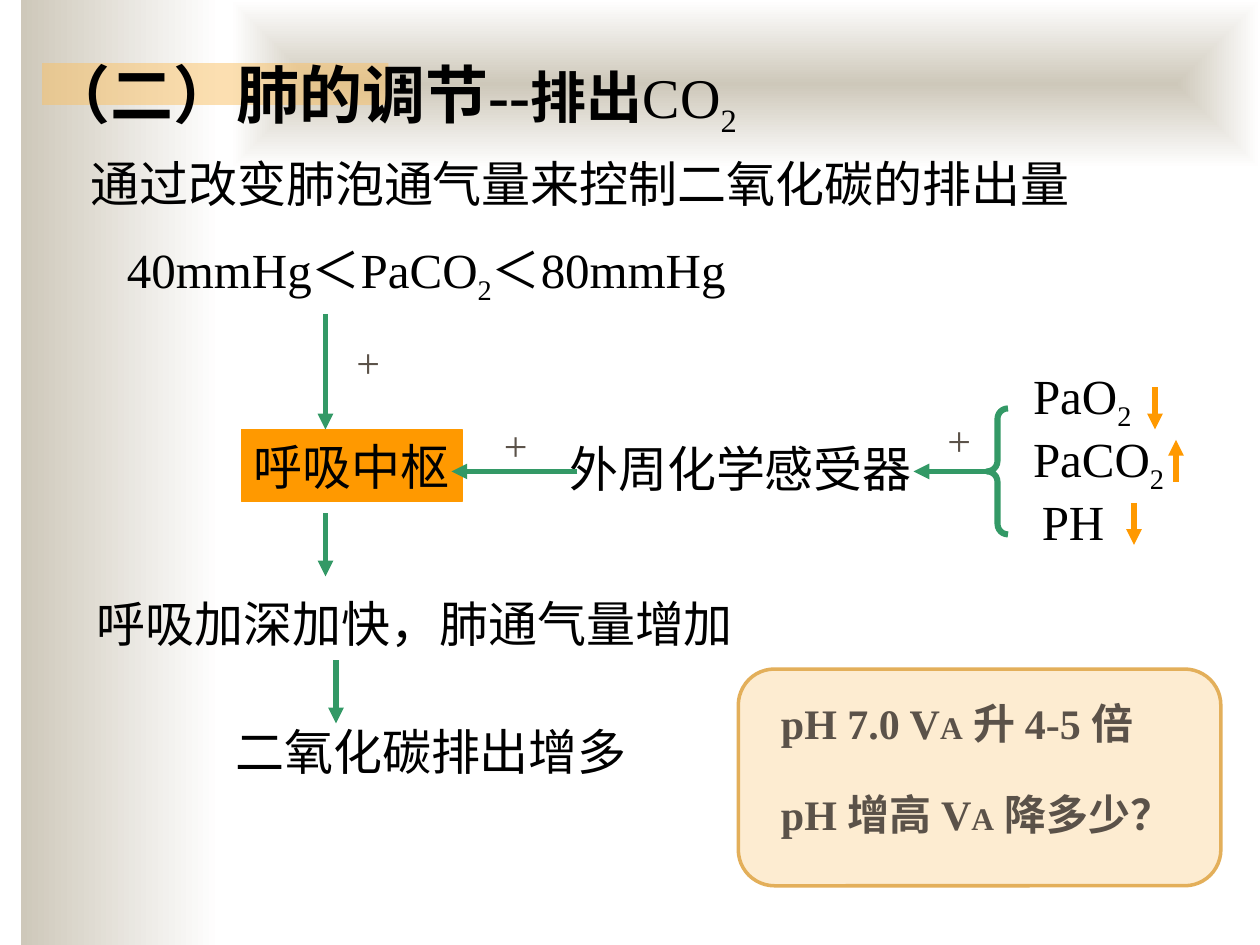
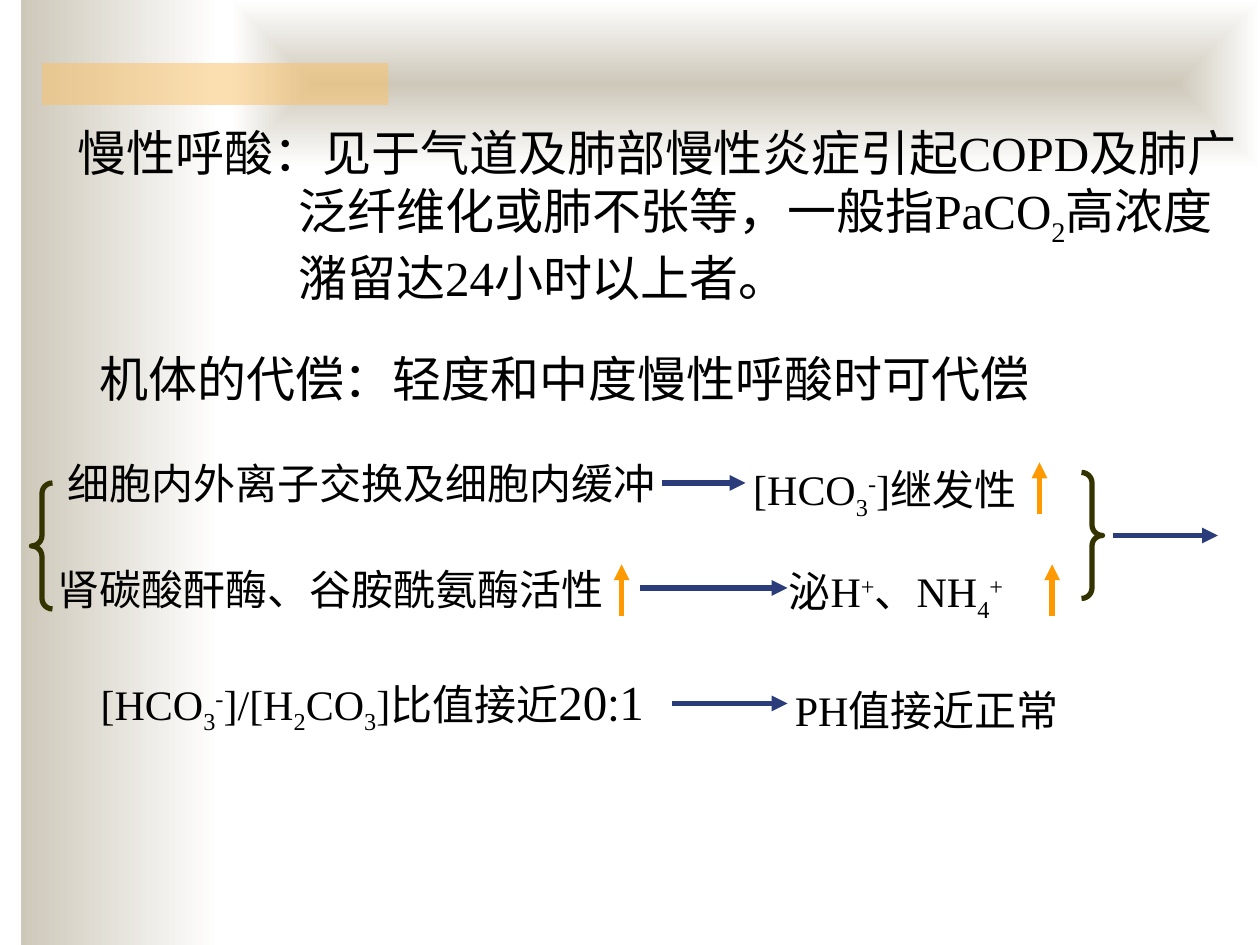
import pptx
import pptx.dml.color
import pptx.enum.lang
import pptx.enum.shapes
import pptx.enum.text
import pptx.oxml
import pptx.oxml.ns
import pptx.util

RGBColor = pptx.dml.color.RGBColor
Shapes = pptx.enum.shapes.MSO_SHAPE

BLACK = RGBColor(0x00, 0x00, 0x00)
WHITE = RGBColor(0xFF, 0xFF, 0xFF)
STONE = RGBColor(0xCE, 0xC8, 0xBA)
APRICOT = RGBColor(0xFA, 0xC1, 0x64)
ORANGE = RGBColor(0xFF, 0x99, 0x00)
GREEN = RGBColor(0x33, 0x99, 0x66)
NAVY = RGBColor(0x2A, 0x3D, 0x7A)
OLIVE = RGBColor(0x33, 0x33, 0x00)
BROWN = RGBColor(0x5B, 0x52, 0x49)
CREAM = RGBColor(0xFD, 0xE6, 0xC1)
GOLD = RGBColor(0xE3, 0xAF, 0x5A)

FONT = "Times New Roman"
COLUMNS, ROWS = 120, 90
CELL = pptx.util.Inches(10) / COLUMNS
SLACK = 1  # spare column that keeps a label on one line
BASELINES = {"_": "-25000", "^": "30000"}


def cells(*counts):
    return [round(count * CELL) for count in counts]


def drawing_element(tag, **attributes):
    element = pptx.oxml.parse_xml(f"<a:{tag} {pptx.oxml.ns.nsdecls('a')}/>")
    for name, value in attributes.items():
        element.set(name, str(value))
    return element


def add_shape(slide, kind, area, fill=None, line=None, width=0.75, opacity=100):
    shape = slide.shapes.add_shape(kind, *cells(*area))
    shape.shadow.inherit = False
    if fill is None:
        shape.fill.background()
    else:
        shape.fill.solid()
        shape.fill.fore_color.rgb = fill
    if opacity < 100:
        color = shape.fill._xPr.find(".//" + pptx.oxml.ns.qn("a:srgbClr"))
        color.append(drawing_element("alpha", val=opacity * 1000))
    if line is None:
        shape.line.fill.background()
    else:
        shape.line.color.rgb = line
        shape.line.width = pptx.util.Pt(width)
    return shape


def add_gradient_band(slide, area, from_centre=False):
    band = add_shape(slide, Shapes.RECTANGLE, area)
    band.fill.gradient()
    band.fill.gradient_angle = 0
    for stop, color in zip(band.fill.gradient_stops, (STONE, WHITE)):
        stop.color.rgb = color
    if from_centre:
        linear = band._element.spPr.find(".//" + pptx.oxml.ns.qn("a:lin"))
        centre = drawing_element("path", path="rect")
        centre.append(drawing_element("fillToRect", l=50000, t=50000, r=50000, b=50000))
        linear.getparent().replace(linear, centre)


def add_brace(slide, kind, left, top, color, width=3):
    brace = add_shape(slide, kind, (left, top, 2, 12), line=color, width=width)
    brace.adjustments[0] = 0.5


def add_arrow(slide, start, end, color):
    arrow = slide.shapes.add_connector(
        pptx.enum.shapes.MSO_CONNECTOR.STRAIGHT, *cells(*start, *end))
    arrow.line.color.rgb = color
    arrow.line.width = pptx.util.Pt(3)
    arrow.line._get_or_add_ln().append(drawing_element("tailEnd", type="triangle"))
    arrow._element.spPr.append(drawing_element("effectLst"))


def write_paragraph(paragraph, marked, size, color, bold=False):
    """Write runs parted by "|"; a leading _ or ^ lowers or raises a run."""
    paragraph.alignment = pptx.enum.text.PP_ALIGN.LEFT
    for piece in marked.split("|"):
        run = paragraph.add_run()
        baseline = BASELINES.get(piece[0])
        run.text = piece[1:] if baseline else piece
        run.font.name = FONT
        run.font.size = pptx.util.Pt(size)
        run.font.bold = bold
        run.font.color.rgb = color
        run.font.language_id = pptx.enum.lang.MSO_LANGUAGE_ID.SIMPLIFIED_CHINESE
        if baseline:
            run._r.get_or_add_rPr().set("baseline", baseline)


def fill_frame(frame, lines, size, color=BLACK, bold=False):
    frame.word_wrap = True
    frame.auto_size = pptx.enum.text.MSO_AUTO_SIZE.SHAPE_TO_FIT_TEXT
    for index, line in enumerate(lines):
        paragraph = frame.add_paragraph() if index else frame.paragraphs[0]
        write_paragraph(paragraph, line, size, color, bold)


def text_height(lines, size):
    return sum(size * 0.2 + (0.72 if "|_" in line else 0) for line in lines) + 1.2


def add_text(slide, left, top, width, *lines, size=28, **style):
    """Add a text box and return its paragraphs."""
    height = text_height(lines, size)
    box = slide.shapes.add_textbox(*cells(left, top, width + SLACK, height))
    fill_frame(box.text_frame, lines, size, **style)
    return box.text_frame.paragraphs


def set_indent(paragraph, margin, first_line=0):
    properties = paragraph._p.get_or_add_pPr()
    properties.set("marL", str(pptx.util.Inches(margin)))
    properties.set("indent", str(pptx.util.Inches(first_line)))


def add_themed_slide(presentation):
    slide = presentation.slides.add_slide(presentation.slide_layouts[6])
    add_gradient_band(slide, (2, 0, 19, ROWS))
    add_gradient_band(slide, (22, 0, COLUMNS - 22, 16), from_centre=True)
    add_shape(slide, Shapes.RECTANGLE, (4, 6, 33, 4), APRICOT, opacity=50)
    return slide


def add_ph_note(slide):
    add_shape(slide, Shapes.ROUNDED_RECTANGLE, (70.32, 63.72, 45.96, 20.64),
              CREAM, GOLD, width=2, opacity=73)
    paragraphs = add_text(slide, 72.24, 66.36, 39.6, "pH 7.0 V|A| 升 4-5 倍",
                          "pH 增高 V|A| 降多少？", size=24, color=BROWN, bold=True)
    for paragraph in paragraphs:
        paragraph.line_spacing = 0.9
        set_indent(paragraph, 0.16, -0.08)
        paragraph.runs[1].font.size = pptx.util.Pt(18)
    paragraphs[1].space_before = pptx.util.Pt(26)


def add_lung_regulation_slide(presentation):
    slide = add_themed_slide(presentation)
    title = add_text(slide, 3.36, 4.68, 74, "（二）肺的调节--|排出|CO|_2",
                     size=36, bold=True)[0]
    for run in title.runs[1:]:
        run.font.size = pptx.util.Pt(32)
    for run in title.runs[2:]:
        run.font.bold = False

    add_text(slide, 7.44, 14.04, 95.5, "通过改变肺泡通气量来控制二氧化碳的排出量")
    add_text(slide, 10.92, 22.2, 63.84, "40mmHg＜PaCO|_2|＜80mmHg")
    centre = add_shape(slide, Shapes.RECTANGLE, (23, 40.92, 21, 6.84), ORANGE, ORANGE)
    fill_frame(centre.text_frame, ["呼吸中枢"], 28)
    add_text(slide, 53.04, 41.16, 35, "外周化学感受器")
    add_text(slide, 8.04, 55.92, 66, "呼吸加深加快，肺通气量增加")
    add_text(slide, 21.24, 68.16, 39.6, "二氧化碳排出增多")

    add_brace(slide, Shapes.LEFT_BRACE, 94, 38.9, GREEN, 3.5)
    add_text(slide, 97.2, 34.2, 11.76, "PaO|_2")
    add_text(slide, 97.2, 40.2, 14.88, "PaCO|_2")
    add_text(slide, 98.04, 46.2, 8.28, "PH")
    for left, top in ((89.04, 38.88), (46.8, 39.36), (32.76, 31.44)):
        add_text(slide, left, top, 4.68, "+", size=24, color=BROWN)

    for column, start, end in ((31, 29.9, 40.9), (31, 48.9, 54.9), (32, 62.9, 68.9)):
        add_arrow(slide, (column, start), (column, end), GREEN)
    for start, end in ((55, 43), (94, 87)):
        add_arrow(slide, (start, 44.9), (end, 44.9), GREEN)
    for column, start, end in ((110, 36.9, 40.9), (112, 45.9, 41.9), (108, 47.9, 51.9)):
        add_arrow(slide, (column, start), (column, end), ORANGE)
    add_ph_note(slide)


def add_chronic_acidosis_slide(presentation):
    slide = add_themed_slide(presentation)
    definition = add_text(slide, 6.24, 11.04, 115.3,
                          "慢性呼酸：见于气道及肺部慢性炎症引起COPD及肺广",
                          "泛纤维化或肺不张等，一般指PaCO|_2|高浓度",
                          "潴留达24小时以上者。")
    for paragraph in definition[1:]:
        set_indent(paragraph, 1.75)
    add_text(slide, 8.28, 32.64, 90.96, "机体的代偿：轻度和中度慢性呼酸时可代偿")

    for left, top, width, line in (
            (5.28, 42.96, 58.32, "细胞内外离子交换及细胞内缓冲"),
            (70.56, 43.56, 28.32, "[HCO|_3|^-|]继发性"),
            (4.32, 53.04, 54.36, "肾碳酸酐酶、谷胺酰氨酶活性"),
            (73.92, 53.28, 25.68, "泌H|^+|、NH|_4|^+"),
            (74.52, 64.56, 28.44, "PH值接近正常")):
        add_text(slide, left, top, width, line, size=24)
    ratio = add_text(slide, 8.4, 63.36, 56.04,
                     "[HCO|_3|^-|]/[H|_2|CO|_3|]比值接近|20∶1", size=24)[0]
    ratio.runs[-1].font.size = pptx.util.Pt(28)

    add_brace(slide, Shapes.LEFT_BRACE, 3, 46, OLIVE)
    add_brace(slide, Shapes.RIGHT_BRACE, 103, 45, OLIVE)
    for row, start, end in ((46, 63, 71), (56, 61, 75), (67, 64, 75), (51, 106, 116)):
        add_arrow(slide, (start, row), (end, row), NAVY)
    for column, start in ((99, 49), (59.2, 58.7), (100.2, 58.7)):
        add_arrow(slide, (column, start), (column, start - 4.95), ORANGE)


def main():
    presentation = pptx.Presentation()
    presentation.slide_width, presentation.slide_height = cells(COLUMNS, ROWS)
    add_lung_regulation_slide(presentation)
    add_chronic_acidosis_slide(presentation)
    presentation.save("out.pptx")


if __name__ == "__main__":
    main()
